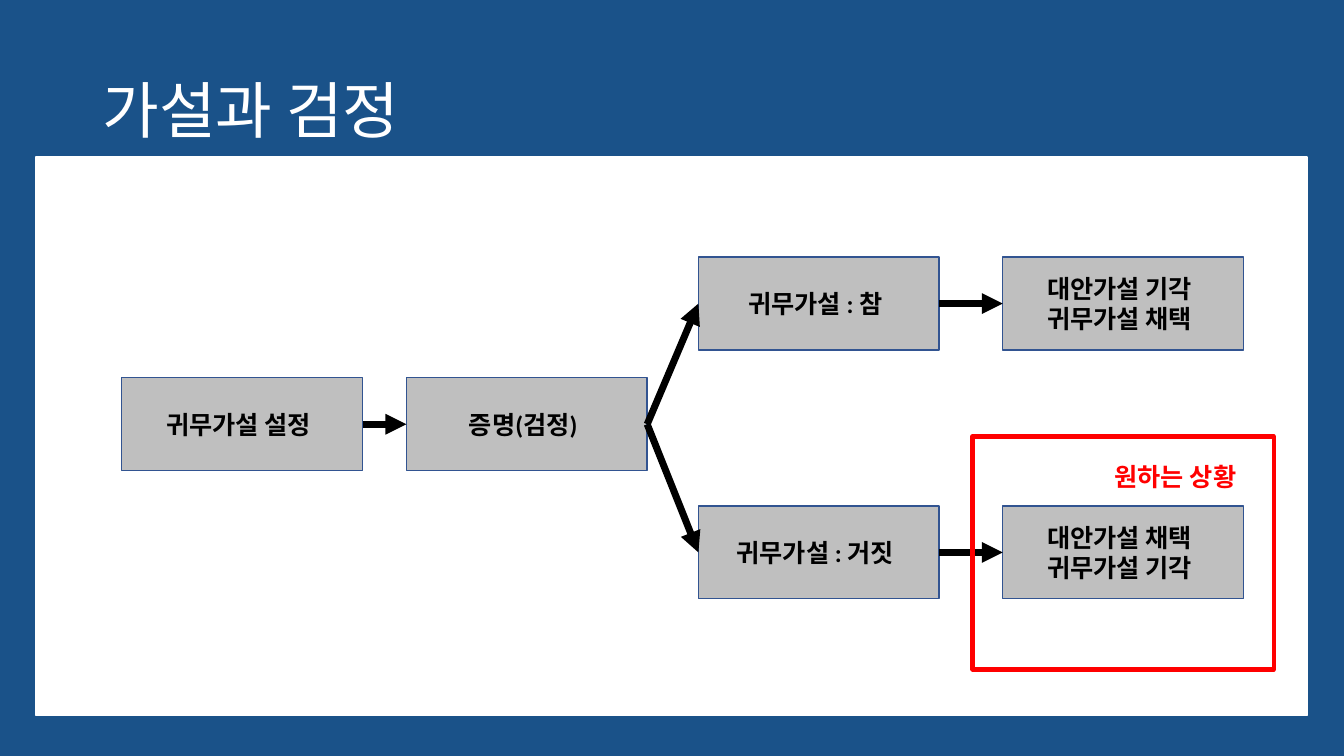
from dataclasses import dataclass

from lxml.etree import SubElement
from pptx import Presentation
from pptx.dml.color import RGBColor
from pptx.enum.shapes import MSO_CONNECTOR, MSO_SHAPE
from pptx.enum.text import MSO_ANCHOR, MSO_AUTO_SIZE, PP_ALIGN
from pptx.oxml.ns import qn
from pptx.shapes.autoshape import Shape
from pptx.slide import Slide
from pptx.util import Cm, Pt


@dataclass(frozen=True)
class Theme:
    background: RGBColor = RGBColor(0x1A, 0x52, 0x89)
    white: RGBColor = RGBColor(0xFF, 0xFF, 0xFF)
    black: RGBColor = RGBColor(0, 0, 0)
    box_fill: RGBColor = RGBColor(0xBF, 0xBF, 0xBF)
    box_line: RGBColor = RGBColor(0x32, 0x54, 0x91)
    highlight: RGBColor = RGBColor(0xFF, 0, 0)
    title_font: str = "Arial"
    body_font: str = "Calibri"
    title_size: int = 44
    body_size: int = 18
    arrow_width: int = 5
    frame_width: int = 3


@dataclass(frozen=True)
class Step:
    """A box of the flow; left and top are in centimetres."""
    name: str
    text: str
    left: float
    top: float


@dataclass(frozen=True)
class Arrow:
    start: str
    end: str


THEME = Theme()
BOX_WIDTH, BOX_HEIGHT = 6.07, 2.34
SETUP_X, TEST_X, VERDICT_X, RESULT_X = 3.07, 10.24, 17.6, 25.27
TRUE_Y, MIDDLE_Y, FALSE_Y = 6.48, 9.52, 12.75
RIGHT_SITE, LEFT_SITE = 3, 1

STEPS = [
    Step("setup", "귀무가설 설정", SETUP_X, MIDDLE_Y),
    Step("test", "증명(검정)", TEST_X, MIDDLE_Y),
    Step("false", "귀무가설 : 거짓", VERDICT_X, FALSE_Y),
    Step("true", "귀무가설 : 참", VERDICT_X, TRUE_Y),
    Step("keep null", "대안가설 기각\n귀무가설 채택", RESULT_X, TRUE_Y),
    Step("reject null", "대안가설 채택\n귀무가설 기각", RESULT_X, FALSE_Y),
]
ARROWS = [
    Arrow("setup", "test"),
    Arrow("test", "true"),
    Arrow("test", "false"),
    Arrow("true", "keep null"),
    Arrow("false", "reject null"),
]


def add_title(slide: Slide, text: str) -> None:
    title = slide.shapes.title
    title.left, title.top, title.width, title.height = Cm(2.33), Cm(1.01), Cm(29.21), Cm(3.68)
    frame = title.text_frame
    frame.text = text
    frame.vertical_anchor = MSO_ANCHOR.MIDDLE
    paragraph = frame.paragraphs[0]
    paragraph.alignment = PP_ALIGN.LEFT
    paragraph.line_spacing = 0.9
    paragraph.font.name = THEME.title_font
    paragraph.font.size = Pt(THEME.title_size)
    paragraph.font.color.rgb = THEME.white


def add_rectangle(slide: Slide, left: float, top: float, width: float, height: float,
                  fill: RGBColor | None, line: RGBColor, line_width: float = 1) -> Shape:
    shape = slide.shapes.add_shape(MSO_SHAPE.RECTANGLE, Cm(left), Cm(top), Cm(width), Cm(height))
    shape.shadow.inherit = False
    if fill is None:
        shape.fill.background()
    else:
        shape.fill.solid()
        shape.fill.fore_color.rgb = fill
    shape.line.color.rgb = line
    shape.line.width = Pt(line_width)
    return shape


def write_body(shape: Shape, text: str, color: RGBColor, alignment: PP_ALIGN) -> None:
    shape.text_frame.text = text
    for paragraph in shape.text_frame.paragraphs:
        paragraph.alignment = alignment
        paragraph.font.name = THEME.body_font
        paragraph.font.size = Pt(THEME.body_size)
        paragraph.font.bold = True
        paragraph.font.color.rgb = color


def add_step(slide: Slide, step: Step) -> Shape:
    box = add_rectangle(slide, step.left, step.top, BOX_WIDTH, BOX_HEIGHT,
                        THEME.box_fill, THEME.box_line)
    box.text_frame.vertical_anchor = MSO_ANCHOR.MIDDLE
    box.text_frame.margin_right = Cm(0.43)
    write_body(box, step.text, THEME.black, PP_ALIGN.CENTER)
    return box


def add_arrow(slide: Slide, start: Shape, end: Shape) -> None:
    connector = slide.shapes.add_connector(MSO_CONNECTOR.STRAIGHT, 0, 0, 0, 0)
    connector.begin_connect(start, RIGHT_SITE)
    connector.end_connect(end, LEFT_SITE)
    connector.line.color.rgb = THEME.black
    connector.line.width = Pt(THEME.arrow_width)
    SubElement(connector.line._get_or_add_ln(), qn("a:tailEnd"), type="triangle")
    SubElement(connector._element.spPr, qn("a:effectLst"))


def add_label(slide: Slide, text: str) -> None:
    label = slide.shapes.add_textbox(Cm(27.84), Cm(11.51), Cm(3.86), Cm(1.02))
    label.text_frame.word_wrap = False
    label.text_frame.auto_size = MSO_AUTO_SIZE.SHAPE_TO_FIT_TEXT
    write_body(label, text, THEME.highlight, PP_ALIGN.LEFT)


def main() -> None:
    presentation = Presentation()
    presentation.slide_width, presentation.slide_height = Cm(33.87), Cm(19.05)
    slide = presentation.slides.add_slide(presentation.slide_layouts[5])
    slide.background.fill.solid()
    slide.background.fill.fore_color.rgb = THEME.background

    add_title(slide, "가설과 검정")
    add_rectangle(slide, 0.91, 3.96, 32.03, 14.07, THEME.white, THEME.white)
    boxes = {step.name: add_step(slide, step) for step in STEPS}
    add_label(slide, "원하는 상황")
    for arrow in ARROWS:
        add_arrow(slide, boxes[arrow.start], boxes[arrow.end])
    add_rectangle(slide, 24.51, 11, 7.59, 5.87, None, THEME.highlight, THEME.frame_width)

    presentation.save("out.pptx")


if __name__ == "__main__":
    main()
